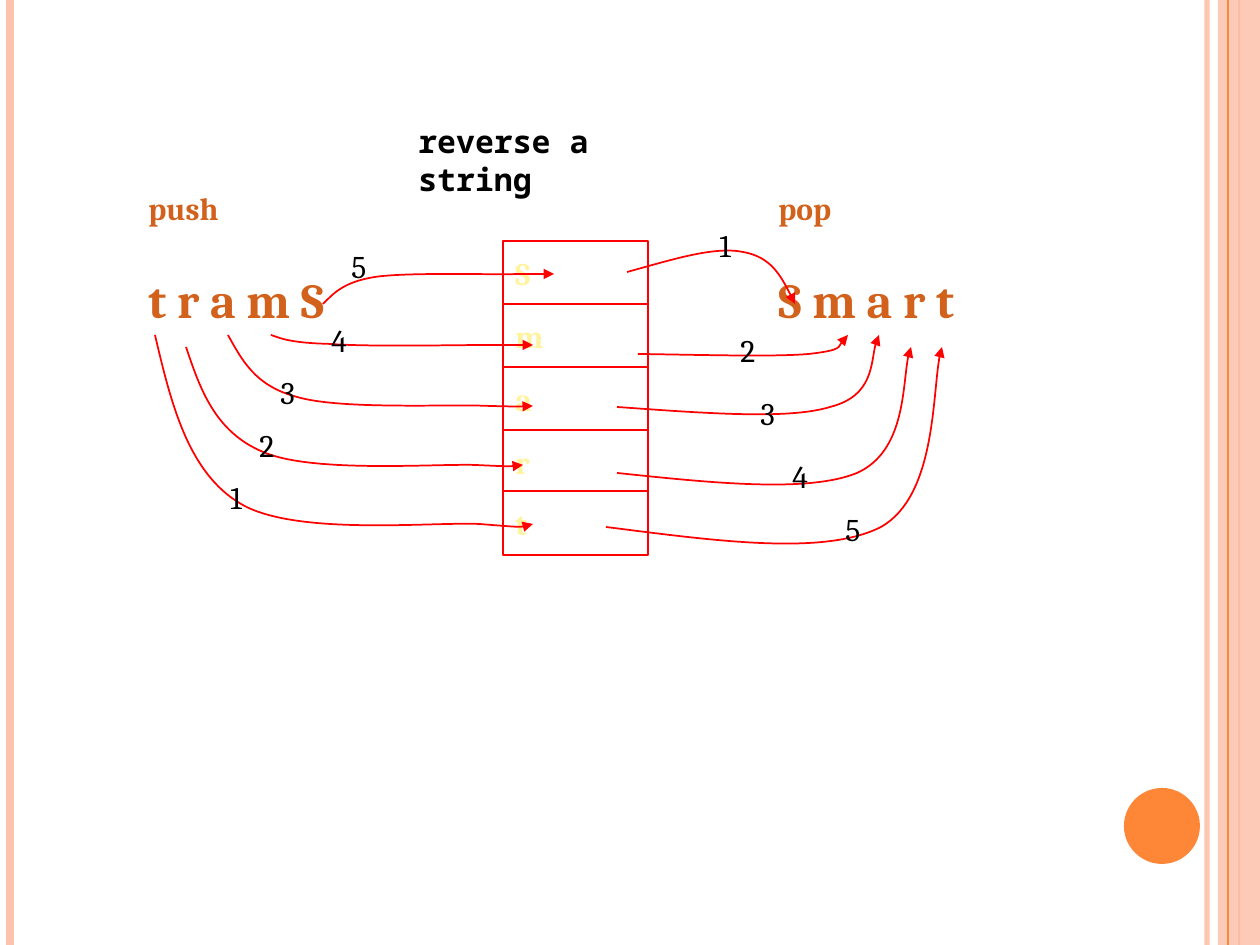
from pptx import Presentation
from pptx.dml.color import RGBColor
from pptx.enum.shapes import MSO_CONNECTOR, MSO_SHAPE
from pptx.enum.text import MSO_ANCHOR, PP_ALIGN
from pptx.oxml.ns import qn
from pptx.util import Pt
from lxml import etree

STRAIGHT = MSO_CONNECTOR.STRAIGHT
RECTANGLE, OVAL = MSO_SHAPE.RECTANGLE, MSO_SHAPE.OVAL
MIDDLE, LEFT = MSO_ANCHOR.MIDDLE, PP_ALIGN.LEFT
SCALE = 914400 / 126
WIDTH, HEIGHT = 1260, 945
SERIF, MONO = "Cambria", "Noto Sans Mono"

COLORS = {
    "peach": "FEC3AE", "orange": "FE8637", "rust": "D2611C", "yellow": "FFF39D",
    "red": "FF0000", "white": "FFFFFF", "black": "000000",
}

STRIPES = [(1207, "peach", 3, 93), (10, "peach", 4.5, 100), (1239, "orange", 1.5, 100)]
THIN_STRIPE = (1228, "orange", 0.75, 100)
BAND = (1218, 0, 42, HEIGHT)
DISC = (1124, 788, 76, 76)

TITLE = ("reverse a string", (406, 116, 316, 63))
WORDS = [("push", "t r a m S", 136), ("pop", "S m a r t", 766)]
STACK = [("S", 241), ("m", 304), ("a", 367), ("r", 430), ("t", 491)]

PUSH_ARROWS = [
    ("1", (218, 472), [(155, 335), (171, 403), (188, 473), (241, 504), (295, 536),
                       (430, 522), (479, 524), (528, 528), (530, 527), (533, 524)]),
    ("2", (247, 420), [(186, 347), (200, 389), (215, 432), (263, 452), (311, 473),
                       (431, 464), (474, 465), (518, 467), (520, 466), (523, 465)]),
    ("3", (268, 367), [(228, 335), (242, 360), (255, 386), (297, 397), (341, 410),
                       (450, 404), (489, 406), (528, 407), (530, 406), (533, 406)]),
    ("4", (319, 315), [(271, 335), (282, 339), (292, 343), (330, 344), (368, 347),
                       (461, 345), (495, 345), (529, 345), (530, 345), (533, 345)]),
    ("5", (339, 241), [(323, 304), (333, 294), (343, 282), (375, 277), (408, 272),
                       (491, 275), (520, 274), (551, 274), (552, 274), (554, 274)]),
]
POP_ARROWS = [
    ("5", (833, 504), [(606, 527), (716, 541), (824, 556), (881, 527),
                       (936, 496), (932, 375), (942, 347)]),
    ("4", (780, 451), [(617, 473), (712, 483), (808, 493), (857, 473),
                       (906, 451), (902, 367), (911, 347)]),
    ("3", (748, 388), [(617, 407), (702, 413), (788, 420), (830, 407),
                       (874, 396), (871, 348), (879, 335)]),
    ("2", (728, 325), [(638, 354), (706, 355), (774, 357), (809, 354),
                       (844, 350), (842, 339), (848, 335)]),
    ("1", (707, 220), [(627, 272), (671, 260), (714, 246), (743, 252),
                       (771, 257), (784, 281), (795, 304)]),
]


def px(*values):
    return [round(value * SCALE) for value in values]


def color(name):
    return RGBColor.from_string(COLORS[name])


def set_alpha(properties, percent):
    if percent < 100:
        tint = next(properties.iter(qn("a:srgbClr")))
        etree.SubElement(tint, qn("a:alpha")).set("val", str(percent * 1000))


def set_line(shape, name, width):
    shape.line.color.rgb = color(name)
    shape.line.width = Pt(width)


def add_stripe(page, x, name, width, alpha):
    stripe = page.shapes.add_connector(STRAIGHT, *px(x, 0, x, HEIGHT))
    set_line(stripe, name, width)
    properties = stripe._element.spPr
    set_alpha(properties, alpha)
    etree.SubElement(properties, qn("a:effectLst"))


def add_shape(page, kind, place, fill):
    shape = page.shapes.add_shape(kind, *px(*place))
    shape.shadow.inherit = False
    shape.fill.solid()
    shape.fill.fore_color.rgb = color(fill)
    shape.line.fill.background()
    return shape


def write(frame, lines, name, sizes=(18,), bold=True, font=SERIF):
    frame.text = "\n".join(lines)
    for para, size in zip(frame.paragraphs, sizes):
        para.alignment = LEFT
        for span in para.runs:
            span.font.size = Pt(size)
            span.font.name = font
            span.font.bold = bold
            span.font.color.rgb = color(name)


def add_text(page, place, lines, name, wrap=False, **style):
    frame = page.shapes.add_textbox(*px(*place)).text_frame
    frame.word_wrap = wrap
    write(frame, lines, name, **style)
    return frame


def add_curve(page, points):
    builder = page.shapes.build_freeform(*points[0], scale=SCALE)
    builder.add_line_segments(points[1:], close=False)
    curve = builder.convert_to_shape()
    curve.shadow.inherit = False
    curve.fill.background()
    set_line(curve, "red", 1)
    etree.SubElement(curve.line._get_or_add_ln(), qn("a:tailEnd")).set("type", "triangle")
    segments = list(curve._element.iter(qn("a:lnTo")))
    outline = segments[0].getparent()
    for start in range(0, len(segments), 3):
        bezier = etree.SubElement(outline, qn("a:cubicBezTo"))
        for segment in segments[start:start + 3]:
            bezier.append(segment[0])
            outline.remove(segment)


def main():
    deck = Presentation()
    deck.slide_width, deck.slide_height = px(WIDTH, HEIGHT)
    page = deck.slides.add_slide(deck.slide_layouts[6])

    for stripe in STRIPES:
        add_stripe(page, *stripe)
    band = add_shape(page, RECTANGLE, BAND, "peach")
    set_alpha(band._element.spPr, 87)
    add_stripe(page, *THIN_STRIPE)
    add_shape(page, OVAL, DISC, "orange")

    for letter, top in STACK:
        cell = add_shape(page, RECTANGLE, (503, top, 145, 64), "white")
        set_line(cell, "red", 1)
        cell.text_frame.vertical_anchor = MIDDLE
        write(cell.text_frame, [letter], "yellow")

    for action, word, left in WORDS:
        frame = add_text(page, (left, 183, 205, 173), [action, word], "rust", sizes=(18, 28))
        frame.paragraphs[1].space_before = Pt(24.5)
    title, place = TITLE
    add_text(page, place, [title], "black", wrap=True, font=MONO)

    arrows = PUSH_ARROWS + POP_ARROWS
    for _, _, points in arrows:
        add_curve(page, points)
    for number, corner, _ in arrows:
        add_text(page, (*corner, 47, 63), [number], "black", bold=False)

    deck.save("out.pptx")


if __name__ == "__main__":
    main()
